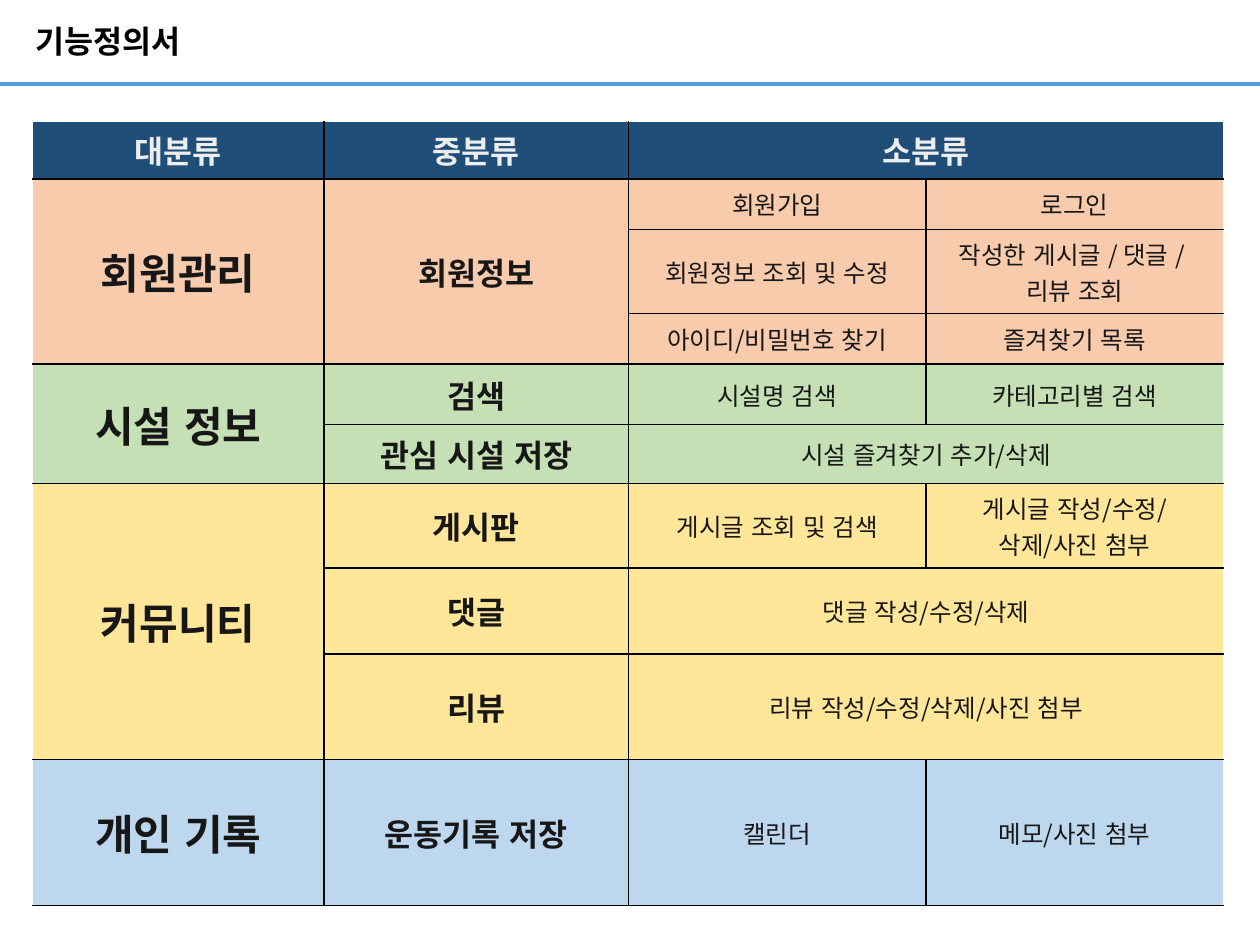
import lxml.etree
import pptx
import pptx.dml.color
import pptx.enum.lang
import pptx.enum.shapes
import pptx.enum.text
import pptx.oxml.ns
import pptx.util

Inches = pptx.util.Inches
Pt = pptx.util.Pt
qn = pptx.oxml.ns.qn

COLORS = {
    "rule": "5B9BD5", "title": "000000", "grid": "000000", "edge": "FFFFFF",
    "header": "1F4E79", "header_text": "EDEDED", "body_text": "181717",
    "member": "F8CBAD", "facility": "C5E0B4", "community": "FFE699",
    "record": "BDD7EE",
}
TABLE_FONT = "Noto Sans CJK KR"
COLUMN_WIDTHS = [2.31, 2.42, 2.36, 2.36]
ROW_HEIGHTS = [0.46, 0.4, 0.67, 0.4, 0.48, 0.47, 0.67, 0.68, 0.84, 1.16]
LEVEL_SIZES = [24, 18, 14, 14]  # major, middle and the two minor columns

# (row, column, row span, column span, theme, text)
ENTRIES = [
    (0, 0, 1, 1, "header", "대분류"),
    (0, 1, 1, 1, "header", "중분류"),
    (0, 2, 1, 2, "header", "소분류"),
    (1, 0, 3, 1, "member", "회원관리"),
    (1, 1, 3, 1, "member", "회원정보"),
    (1, 2, 1, 1, "member", "회원가입"),
    (1, 3, 1, 1, "member", "로그인"),
    (2, 2, 1, 1, "member", "회원정보 조회 및 수정"),
    (2, 3, 1, 1, "member", "작성한 게시글 / 댓글 / \n리뷰 조회"),
    (3, 2, 1, 1, "member", "아이디/비밀번호 찾기"),
    (3, 3, 1, 1, "member", "즐겨찾기 목록"),
    (4, 0, 2, 1, "facility", "시설 정보"),
    (4, 1, 1, 1, "facility", "검색"),
    (4, 2, 1, 1, "facility", "시설명 검색"),
    (4, 3, 1, 1, "facility", "카테고리별 검색"),
    (5, 1, 1, 1, "facility", "관심 시설 저장"),
    (5, 2, 1, 2, "facility", "시설 즐겨찾기 추가/삭제"),
    (6, 0, 3, 1, "community", "커뮤니티"),
    (6, 1, 1, 1, "community", "게시판"),
    (6, 2, 1, 1, "community", "게시글 조회 및 검색"),
    (6, 3, 1, 1, "community", "게시글 작성/수정/\n삭제/사진 첨부"),
    (7, 1, 1, 1, "community", "댓글"),
    (7, 2, 1, 2, "community", "댓글 작성/수정/삭제"),
    (8, 1, 1, 1, "community", "리뷰"),
    (8, 2, 1, 2, "community", "리뷰 작성/수정/삭제/사진 첨부"),
    (9, 0, 1, 1, "record", "개인 기록"),
    (9, 1, 1, 1, "record", "운동기록 저장"),
    (9, 2, 1, 1, "record", "캘린더"),
    (9, 3, 1, 1, "record", "메모/사진 첨부"),
]


def rgb(name):
    return pptx.dml.color.RGBColor.from_string(COLORS[name])


def add_run(paragraph, text, size, font, color, bold):
    run = paragraph.add_run()
    run.text = text
    run.font.size = Pt(size)
    run.font.name = font
    run.font.bold = bold
    run.font.color.rgb = rgb(color)
    run.font.language_id = pptx.enum.lang.MSO_LANGUAGE_ID.KOREAN
    return run


def add_title(slide, text):
    title = slide.shapes.add_textbox(Inches(0.28), 0, Inches(6.54), Inches(0.68))
    frame = title.text_frame
    frame.word_wrap = True
    frame.vertical_anchor = pptx.enum.text.MSO_ANCHOR.MIDDLE
    frame.margin_left = frame.margin_right = 0
    frame.margin_top = frame.margin_bottom = 0
    frame.paragraphs[0].line_spacing = 0.9
    add_run(frame.paragraphs[0], text, 18, "Arial", "title", True)


def add_title_rule(slide):
    rule = slide.shapes.add_connector(
        pptx.enum.shapes.MSO_CONNECTOR.STRAIGHT,
        0, Inches(0.67), Inches(10), Inches(0.67))
    rule.line.color.rgb = rgb("rule")
    rule.line.width = Pt(2.25)
    lxml.etree.SubElement(rule._element.spPr, qn("a:effectLst"))


def set_borders(cell, row, column, column_span):
    """White on the outer left, top and right edges, black elsewhere."""
    last = column + column_span == len(COLUMN_WIDTHS)
    sides = [
        ("a:lnL", "edge" if column == 0 else "grid", 1),
        ("a:lnR", "edge" if last else "grid", 1),
        ("a:lnT", "edge" if row == 0 else "grid", 0.5 if row == 0 else 1),
        ("a:lnB", "grid", 1),
    ]
    properties = cell._tc.get_or_add_tcPr()
    for position, (tag, color, width) in enumerate(sides):
        border = lxml.etree.Element(qn(tag), w=str(Pt(width)))
        fill = lxml.etree.SubElement(border, qn("a:solidFill"))
        lxml.etree.SubElement(fill, qn("a:srgbClr"), val=COLORS[color])
        properties.insert(position, border)


def fill_entry(table, row, column, row_span, column_span, theme, text):
    is_header = theme == "header"
    cell = table.cell(row, column)
    last_row, last_column = row + row_span - 1, column + column_span - 1
    if row_span * column_span > 1:
        cell.merge(table.cell(last_row, last_column))

    # Every grid cell under the entry shares its fill and borders
    for r in range(row, last_row + 1):
        for c in range(column, last_column + 1):
            part = table.cell(r, c)
            part.fill.solid()
            part.fill.fore_color.rgb = rgb(theme)
            set_borders(part, row, column, column_span)

    cell.vertical_anchor = pptx.enum.text.MSO_ANCHOR.MIDDLE
    frame = cell.text_frame
    for index, line in enumerate(text.split("\n")):
        paragraph = frame.add_paragraph() if index else frame.paragraphs[0]
        paragraph.alignment = pptx.enum.text.PP_ALIGN.CENTER
        run = add_run(paragraph, line, 18 if is_header else LEVEL_SIZES[column],
                      TABLE_FONT, "header_text" if is_header else "body_text",
                      is_header or column < 2)
        lxml.etree.SubElement(run.font._element, qn("a:ea"), typeface=TABLE_FONT)


def add_function_table(slide):
    table = slide.shapes.add_table(
        len(ROW_HEIGHTS), len(COLUMN_WIDTHS), Inches(0.26), Inches(0.96),
        Inches(sum(COLUMN_WIDTHS)), Inches(sum(ROW_HEIGHTS))).table
    table.first_row = False
    table.horz_banding = False
    for column, width in zip(table.columns, COLUMN_WIDTHS):
        column.width = Inches(width)
    for row, height in zip(table.rows, ROW_HEIGHTS):
        row.height = Inches(height)
    for entry in ENTRIES:
        fill_entry(table, *entry)


def main():
    presentation = pptx.Presentation()
    presentation.slide_width = Inches(10)
    presentation.slide_height = Inches(7.5)
    slide = presentation.slides.add_slide(presentation.slide_layouts[6])

    # Heading
    add_title_rule(slide)
    add_title(slide, "기능정의서")

    # Function definitions
    add_function_table(slide)
    presentation.save("out.pptx")


if __name__ == "__main__":
    main()
